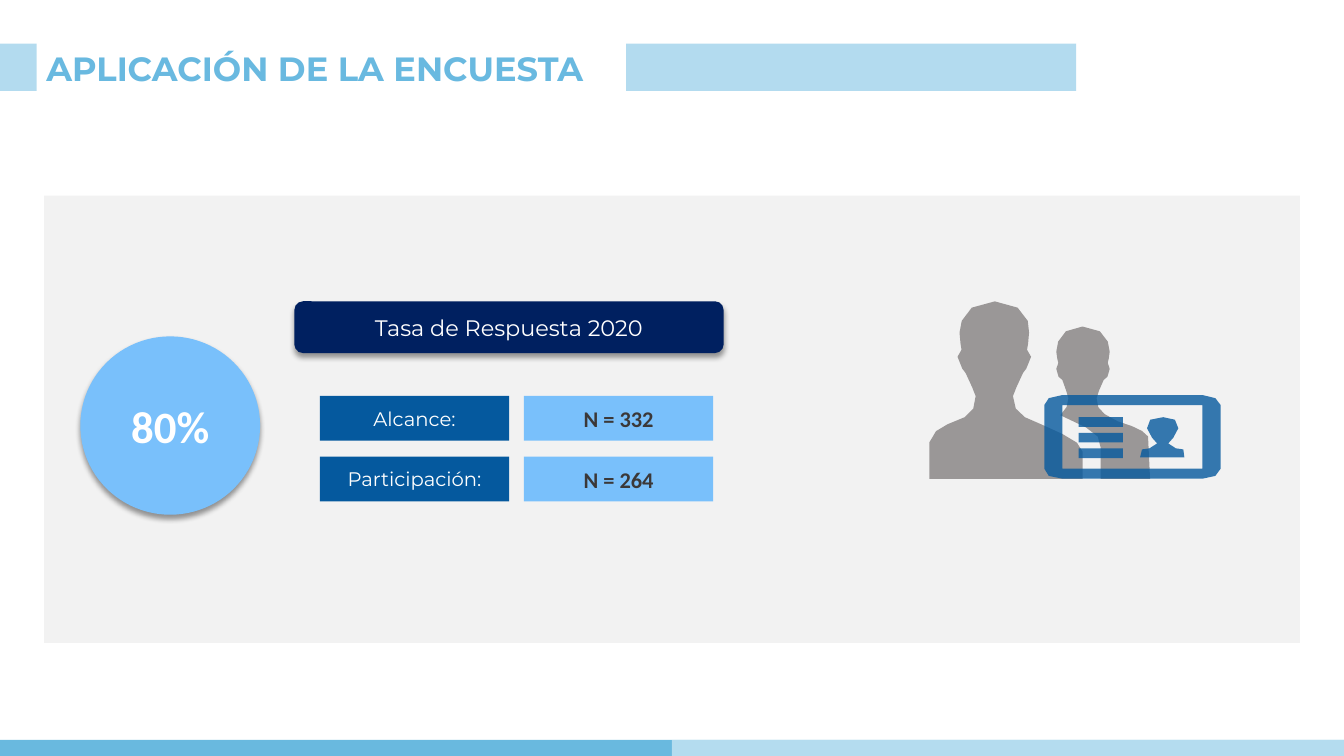
"""Build the survey response-rate slide."""
from math import dist
from pptx import Presentation
from pptx.dml.color import RGBColor
from pptx.enum.shapes import MSO_SHAPE as Kind
from pptx.enum.text import MSO_ANCHOR as Anchor, PP_ALIGN as Align
from pptx.oxml.ns import qn
from pptx.util import Pt
from lxml.etree import SubElement as Sub

TITLE = "APLICACIÓN DE LA ENCUESTA"
HEAD = "Tasa de Respuesta 2020"
RATE = "80%"
ROWS = [("Alcance:", "N = 332"), ("Participación:", "N = 264")]

SKY, NAVY, BLUE, PALE = "69B9E0", "002060", "05599E", "79C0FB"
WHITE, DARK, GRAY, PANEL = "FFFFFF", "3B3838", "767171", "F2F2F2"
LIGHT = dict(name="Montserrat", bold=False, color=WHITE)
BOLD = dict(name="Calibri", bold=True)

UNIT = 0.72
ADULT = [
    (152, 149), (152, 176), (0, 176), (0, 140),
    (0, 130, 12, 126, 18, 122), (40, 115, 46, 109, 46, 94),
    (46, 84, 40, 88, 36, 71), (36, 65, 30, 71, 28, 55),
    (28, 50, 32, 48, 32, 48), (32, 48, 30, 38, 30, 31),
    (30, 23, 34, 0, 65, 0), (95, 0, 101, 23, 99, 31),
    (99, 38, 97, 48, 97, 48), (97, 48, 101, 50, 101, 55),
    (99, 71, 93, 65, 93, 71), (89, 88, 83, 84, 83, 94),
    (83, 109, 91, 115, 111, 122), (134, 132, 152, 140, 152, 149),
]
PEER = [
    (170, 176), (170, 145),
    (170, 132, 164, 128, 130, 113), (136, 107, 138, 103, 138, 96),
    (138, 88, 134, 90, 132, 78), (130, 73, 126, 78, 126, 67),
    (126, 61, 128, 61, 128, 61), (128, 61, 126, 54, 126, 50),
    (126, 42, 130, 25, 152, 25), (175, 25, 179, 42, 179, 50),
    (179, 54, 177, 61, 177, 61), (177, 61, 179, 61, 179, 67),
    (179, 78, 175, 73, 173, 78), (170, 90, 166, 88, 166, 96),
    (166, 107, 170, 111, 187, 119), (203, 124, 213, 128, 217, 134),
    (219, 176),
]
CARD = [
    (175, 10), (175, 73), (175, 79, 167, 83, 157, 83), (18, 83),
    (6, 83, 0, 79, 0, 73), (0, 10), (0, 5, 6, 0, 18, 0), (157, 0),
    (167, 0, 175, 5, 175, 10),
]
BUST = [
    (139, 62), (95, 62), (95, 62, 95, 54, 97, 54),
    (97, 54, 112, 53, 112, 48), (112, 44, 102, 42, 102, 33),
    (102, 25, 105, 22, 118, 22), (129, 22, 133, 25, 133, 33),
    (133, 42, 123, 44, 123, 48), (123, 53, 138, 54, 138, 54),
]


def rgb(code):
    return RGBColor.from_string(code)


def alpha(node, pct):
    Sub(node, qn("a:alpha"), val=str(pct * 1000))


def paint(shape, fill, pct=100):
    shape.shadow.inherit = False
    shape.fill.solid()
    shape.fill.fore_color.rgb = rgb(fill)
    shape.line.fill.background()
    if pct < 100:
        alpha(next(shape.element.spPr.iter(qn("a:srgbClr"))), pct)


def write(shape, text, look, align=Align.CENTER):
    frame = shape.text_frame
    frame.word_wrap = True
    frame.vertical_anchor = Anchor.MIDDLE
    para = frame.paragraphs[0]
    para.alignment = align
    run = para.add_run()
    run.text = text
    for key, val in look.items():
        if key == "color":
            run.font.color.rgb = rgb(val)
        else:
            setattr(run.font, key, val)
    return para


def block(box, fill, pct=100, text="", look=None, kind=Kind.RECTANGLE):
    shape = slide.shapes.add_shape(kind, *map(Pt, box))
    paint(shape, fill, pct)
    if text:
        write(shape, text, look)
    return shape


def shade(shape):
    fx = shape.element.spPr.find(qn("a:effectLst"))
    cast = Sub(fx, qn("a:outerShdw"), blurRad=str(Pt(4)), dist=str(Pt(3)),
               dir="5400000", algn="t", rotWithShape="0")
    alpha(Sub(cast, qn("a:srgbClr"), val="000000"), 40)


def rect(x, y, w, h):
    return [(x, y), (x + w, y), (x + w, y + h), (x, y + h)]


def trace(path):
    dots = []
    for seg in path:
        if len(seg) == 2:
            dots.append(seg)
            continue
        a, b, c, d = dots[-1], seg[:2], seg[2:4], seg[4:]
        span = dist(a, d)
        steps = 1 + (span > 11) + (span > 30)
        for i in range(1, steps + 1):
            t = i / steps
            u = 1 - t
            dots.append(tuple(
                u**3 * p + 3 * u * u * t * q + 3 * u * t * t * r + t**3 * s
                for p, q, r, s in zip(a, b, c, d)))
    return dots


def icon(left, top, paths, fill, pct):
    pen = None
    for path in paths:
        dots = [(Pt(left + x * UNIT), Pt(top + y * UNIT))
                for x, y in trace(path)]
        if pen is None:
            pen = slide.shapes.build_freeform(*dots[0])
        else:
            pen.move_to(*dots[0])
        pen.add_line_segments(dots[1:], close=True)
    paint(pen.convert_to_shape(), fill, pct)


deck = Presentation()
deck.slide_width, deck.slide_height = Pt(960), Pt(540)
slide = deck.slides.add_slide(deck.slide_layouts[5])

title = slide.shapes.title
title.left, title.top, title.width, title.height = map(Pt, (26, 27.4, 431, 46))
para = write(title, TITLE, LIGHT | dict(size=Pt(24), bold=True, color=SKY),
             Align.LEFT)
para.line_spacing = 0.9

block((0, 528.4, 960, 11.6), "69B9DF")
block((480, 528.4, 480, 11.6), WHITE, 50)
block((31.5, 139.8, 897, 319.5), PANEL)
for left, wide in ((0, 26.2), (447.2, 321.6)):
    block((left, 31.2, wide, 33.8), SKY, 50)

shade(block((57.4, 240.3, 128.4, 127.4), PALE, text=RATE, kind=Kind.OVAL,
            look=BOLD | dict(size=Pt(32), color=WHITE)))
shade(block((210.3, 215.2, 306.6, 37), NAVY, text=HEAD,
            look=LIGHT | dict(size=Pt(16)), kind=Kind.ROUNDED_RECTANGLE))
for i, (label, count) in enumerate(ROWS):
    top = 282.8 + 43.4 * i
    block((228.5, top, 135.2, 32), BLUE, text=label,
          look=LIGHT | dict(size=Pt(14)))
    block((374.3, top, 135.2, 32), PALE, text=count,
          look=BOLD | dict(size=Pt(16), color=DARK))

bars = [rect(34, 22 + 15.5 * i, 44, 9.5) for i in range(3)]
icon(663.8, 215.3, [ADULT, PEER], GRAY, 70)
icon(745.9, 282.2, [CARD, rect(18, 10, 139, 63), *bars, BUST], BLUE, 80)

deck.save("out.pptx")
